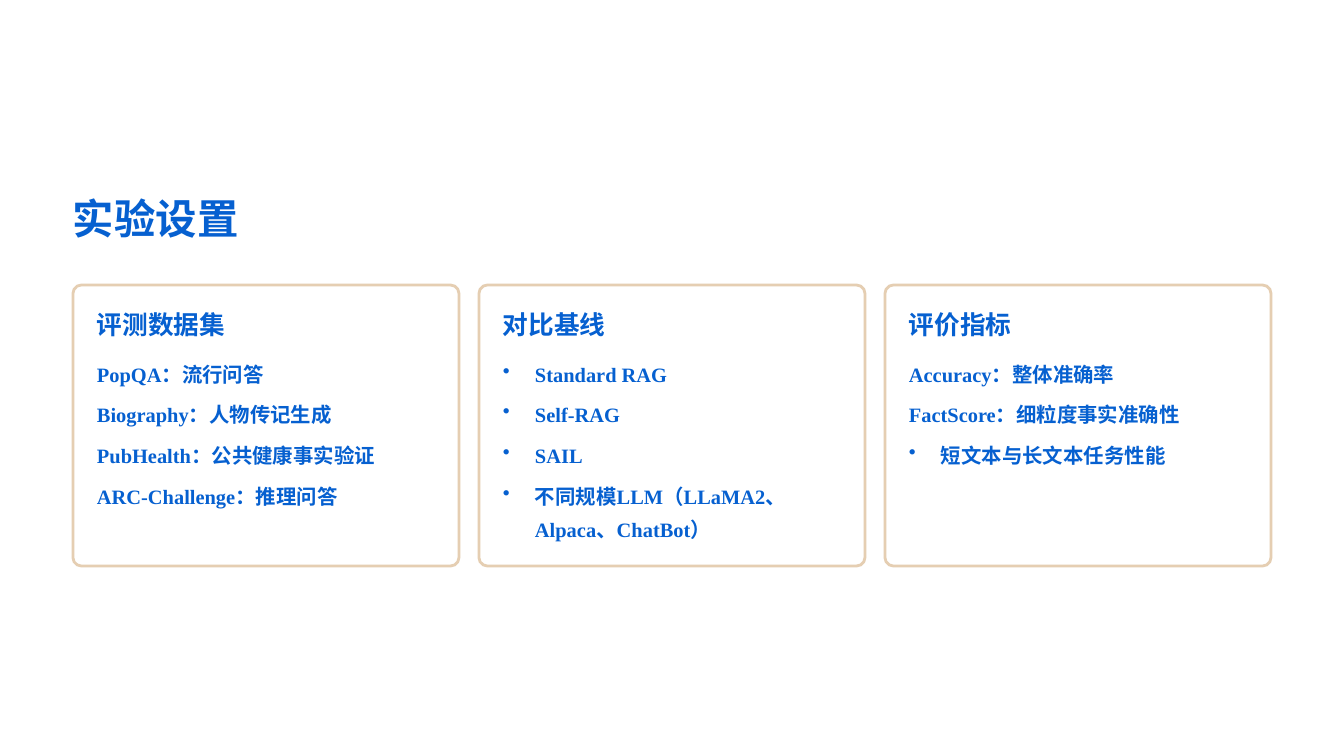
from lxml import etree
from pptx import Presentation
from pptx.dml.color import RGBColor
from pptx.enum.shapes import MSO_SHAPE
from pptx.oxml.ns import qn
from pptx.util import Emu, Pt

ROUNDED = MSO_SHAPE.ROUNDED_RECTANGLE

TITLE = "实验设置"
CARDS = [
    ("评测数据集", ["PopQA：流行问答", "Biography：人物传记生成",
               "PubHealth：公共健康事实验证", "ARC-Challenge：推理问答"]),
    ("对比基线", ["Standard RAG", "Self-RAG", "SAIL",
              "不同规模LLM（LLaMA2、Alpaca、ChatBot）"]),
    ("评价指标", ["Accuracy：整体准确率", "FactScore：细粒度事实准确性",
              "短文本与长文本任务性能"]),
]

BLUE, SAND, WHITE = "0660D0", "E5CEB2", "FFFFFF"
CHINESE_FONT, LATIN_FONT = "Noto Sans CJK SC", "Times New Roman"

PX_PER_INCH = 84
CARD_LEFT, CARD_TOP, CARD_WIDTH, CARD_HEIGHT = 73, 285, 386, 281
CARD_PITCH = 406
PADDING = 24
ITEM_TOP, ITEM_WIDTH, ITEM_HEIGHT = 353, 338, 34
THREE_ITEM_PITCH = 122
BULLET_INDENT = 32


def px(length):
    return Emu(round(length * 914400 / PX_PER_INCH))


def color(hex_string):
    return RGBColor.from_string(hex_string)


def add_bullet(para):
    properties = para._p.get_or_add_pPr()
    properties.set("marL", str(px(BULLET_INDENT)))
    properties.set("indent", str(-px(BULLET_INDENT)))
    etree.SubElement(properties, qn("a:buChar")).set("char", "•")


def add_text(slide, text, place, size, spacing, font=CHINESE_FONT, bullet=False):
    box = slide.shapes.add_textbox(*map(px, place))
    frame = box.text_frame
    frame.word_wrap = True
    frame.margin_left = frame.margin_right = 0
    frame.margin_top = frame.margin_bottom = 0
    para = frame.paragraphs[0]
    para.line_spacing = Pt(spacing)
    if bullet:
        add_bullet(para)
    span = para.add_run()
    span.text = text
    span.font.name = font
    span.font.size = Pt(size)
    span.font.bold = True
    span.font.color.rgb = color(BLUE)
    east_asian = etree.SubElement(span.font._element, qn("a:ea"))
    east_asian.set("typeface", CHINESE_FONT)


def add_card(slide, left, heading, items):
    card = slide.shapes.add_shape(
        ROUNDED, *map(px, (left, CARD_TOP, CARD_WIDTH, CARD_HEIGHT)))
    card.adjustments[0] = 0.03
    card.shadow.inherit = False
    card.fill.solid()
    card.fill.fore_color.rgb = color(WHITE)
    card.line.color.rgb = color(SAND)
    card.line.width = Pt(2.4)

    text_left = left + PADDING
    add_text(slide, heading, (text_left, CARD_TOP + PADDING - 1, 260, 33), 22, 27.5)
    for index, item in enumerate(items):
        top = ITEM_TOP + index * THREE_ITEM_PITCH // 3
        lines = 2 if len(item) > 20 and "、" in item else 1
        add_text(slide, item, (text_left, top, ITEM_WIDTH, ITEM_HEIGHT * lines),
                 17.5, 28.5, LATIN_FONT, bullet="：" not in item)


def main():
    deck = Presentation()
    deck.slide_width, deck.slide_height = px(16 * PX_PER_INCH), px(9 * PX_PER_INCH)
    page = deck.slides.add_slide(deck.slide_layouts[6])
    page.background.fill.solid()
    page.background.fill.fore_color.rgb = color(WHITE)

    add_text(page, TITLE, (CARD_LEFT, 191, 417, 52), 35.5, 44.5)
    for column, (heading, items) in enumerate(CARDS):
        add_card(page, CARD_LEFT + column * CARD_PITCH, heading, items)
    deck.save("out.pptx")


if __name__ == "__main__":
    main()
